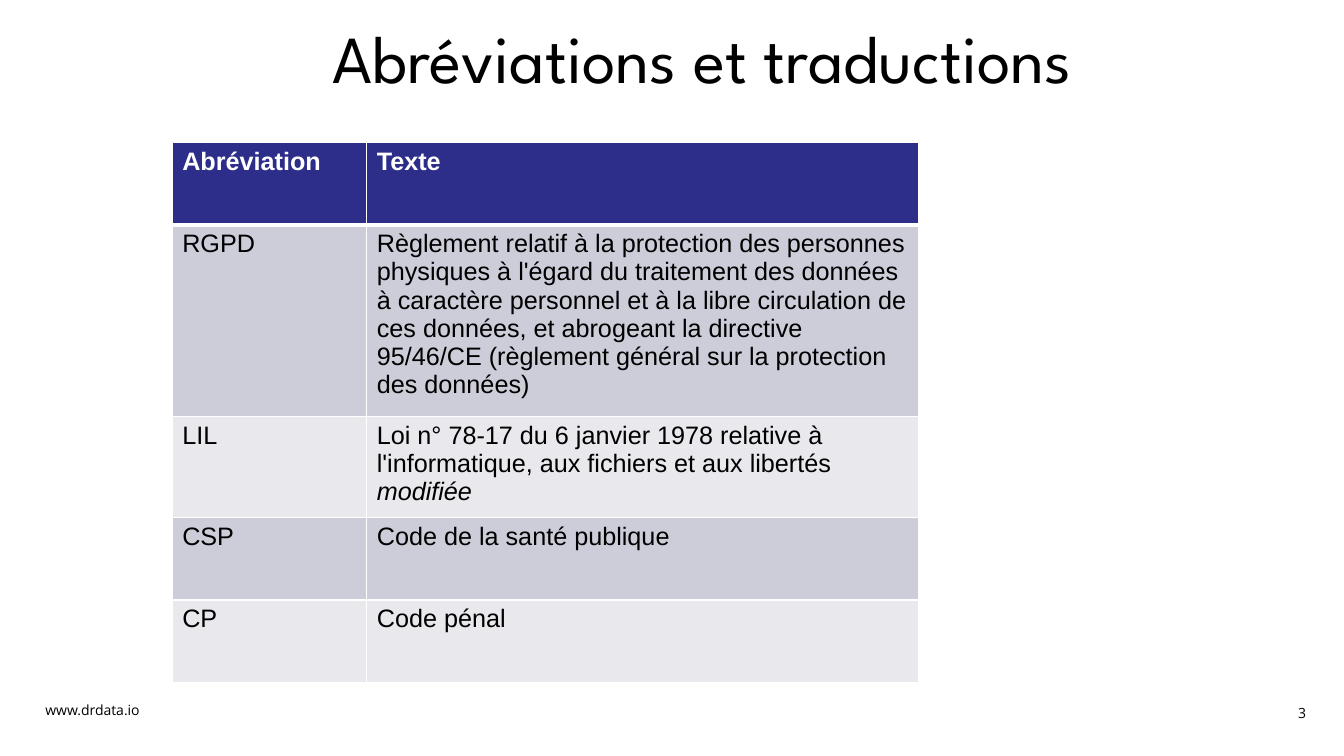
from dataclasses import dataclass

import pptx
import pptx.dml.color
import pptx.enum.text
import pptx.oxml
import pptx.oxml.ns
import pptx.util

Pt = pptx.util.Pt
RGBColor = pptx.dml.color.RGBColor
PP_ALIGN = pptx.enum.text.PP_ALIGN
MSO_ANCHOR = pptx.enum.text.MSO_ANCHOR

BLACK = RGBColor(0x00, 0x00, 0x00)
WHITE = RGBColor(0xFF, 0xFF, 0xFF)
NAVY = RGBColor(0x2D, 0x2D, 0x8A)
BANDS = (RGBColor(0xCD, 0xCD, 0xDA), RGBColor(0xE8, 0xE8, 0xED))

COLUMN_WIDTHS = (139, 394)
THIN, THICK = 1, 3


@dataclass(frozen=True)
class Label:
    text: str
    left: float
    top: float
    width: float
    height: float
    alignment: PP_ALIGN
    anchor: MSO_ANCHOR
    vertical_margin: float


@dataclass(frozen=True)
class Entry:
    abbreviation: str
    meaning: str
    height: float
    emphasis: str = ""


LABELS = (
    Label("www.drdata.io", 32.4, 497.5, 68.4, 19.4, PP_ALIGN.LEFT, MSO_ANCHOR.TOP, 3.6),
    Label("3", 910, 500.4, 40.3, 18, PP_ALIGN.CENTER, MSO_ANCHOR.MIDDLE, 0),
)

ENTRIES = (
    Entry("Abréviation", "Texte", 59),
    Entry(
        "RGPD",
        "Règlement relatif à la protection des personnes physiques à l'égard du "
        "traitement des données à caractère personnel et à la libre circulation de "
        "ces données, et abrogeant la directive 95/46/CE (règlement général sur la "
        "protection des données)",
        137,
    ),
    Entry(
        "LIL",
        "Loi n° 78-17 du 6 janvier 1978 relative à l'informatique, aux fichiers et "
        "aux libertés ",
        72,
        "modifiée",
    ),
    Entry("CSP", "Code de la santé publique", 59),
    Entry("CP", "Code pénal", 59),
)


def format_runs(paragraph, font_name: str, size: float, color: RGBColor) -> None:
    for run in paragraph.runs:
        run.font.name = font_name
        run.font.size = Pt(size)
        run.font.color.rgb = color


def set_margins(text_frame, horizontal: float, vertical: float) -> None:
    text_frame.margin_left = text_frame.margin_right = Pt(horizontal)
    text_frame.margin_top = text_frame.margin_bottom = Pt(vertical)


def add_title(slide, text: str) -> None:
    title = slide.shapes.title
    title.left, title.top, title.width, title.height = Pt(123), Pt(0), Pt(757.5), Pt(80.6)
    text_frame = title.text_frame
    text_frame.text = text
    text_frame.word_wrap = True
    text_frame.auto_size = pptx.enum.text.MSO_AUTO_SIZE.NONE
    text_frame.vertical_anchor = MSO_ANCHOR.MIDDLE
    set_margins(text_frame, 7.9, 3.6)
    paragraph = text_frame.paragraphs[0]
    paragraph.alignment = PP_ALIGN.CENTER
    format_runs(paragraph, "League Spartan", 48, BLACK)


def add_label(slide, label: Label) -> None:
    shape = slide.shapes.add_textbox(
        Pt(label.left), Pt(label.top), Pt(label.width), Pt(label.height)
    )
    text_frame = shape.text_frame
    text_frame.text = label.text
    text_frame.word_wrap = True
    text_frame.vertical_anchor = label.anchor
    set_margins(text_frame, 0, label.vertical_margin)
    paragraph = text_frame.paragraphs[0]
    paragraph.alignment = label.alignment
    format_runs(paragraph, "Open Sans", 10, BLACK)


def set_borders(cell, top: float, bottom: float) -> None:
    properties = cell._tc.get_or_add_tcPr()
    for side, width in (("L", THIN), ("R", THIN), ("T", top), ("B", bottom)):
        properties.append(pptx.oxml.parse_xml(
            f'<a:ln{side} {pptx.oxml.ns.nsdecls("a")} w="{Pt(width)}">'
            f'<a:solidFill><a:srgbClr val="{WHITE}"/></a:solidFill></a:ln{side}>'
        ))


def fill_cell(cell, text: str, emphasis: str, row_index: int) -> None:
    is_header = row_index == 0
    set_borders(
        cell,
        top=THICK if row_index == 1 else THIN,
        bottom=THICK if is_header else THIN,
    )
    cell.fill.solid()
    cell.fill.fore_color.rgb = NAVY if is_header else BANDS[(row_index - 1) % 2]
    cell.margin_left = cell.margin_right = Pt(7.2)
    cell.margin_top = cell.margin_bottom = Pt(3.6)
    paragraph = cell.text_frame.paragraphs[0]
    paragraph.text = text
    if emphasis:
        run = paragraph.add_run()
        run.text = emphasis
        run.font.italic = True
    format_runs(paragraph, "Arial", 18, WHITE if is_header else BLACK)
    for run in paragraph.runs:
        run.font.bold = is_header


def add_abbreviation_table(slide) -> None:
    table = slide.shapes.add_table(
        len(ENTRIES), len(COLUMN_WIDTHS), Pt(123), Pt(101.5),
        Pt(sum(COLUMN_WIDTHS)), Pt(sum(entry.height for entry in ENTRIES)),
    ).table
    for column, width in zip(table.columns, COLUMN_WIDTHS):
        column.width = Pt(width)
    for row_index, entry in enumerate(ENTRIES):
        table.rows[row_index].height = Pt(entry.height)
        fill_cell(table.cell(row_index, 0), entry.abbreviation, "", row_index)
        fill_cell(table.cell(row_index, 1), entry.meaning, entry.emphasis, row_index)


def main() -> None:
    presentation = pptx.Presentation()
    presentation.slide_width, presentation.slide_height = Pt(960), Pt(540)
    slide = presentation.slides.add_slide(presentation.slide_layouts[5])
    slide.background.fill.solid()
    slide.background.fill.fore_color.rgb = WHITE
    add_title(slide, "Abréviations et traductions")
    for label in LABELS:
        add_label(slide, label)
    add_abbreviation_table(slide)
    presentation.save("out.pptx")


if __name__ == "__main__":
    main()
